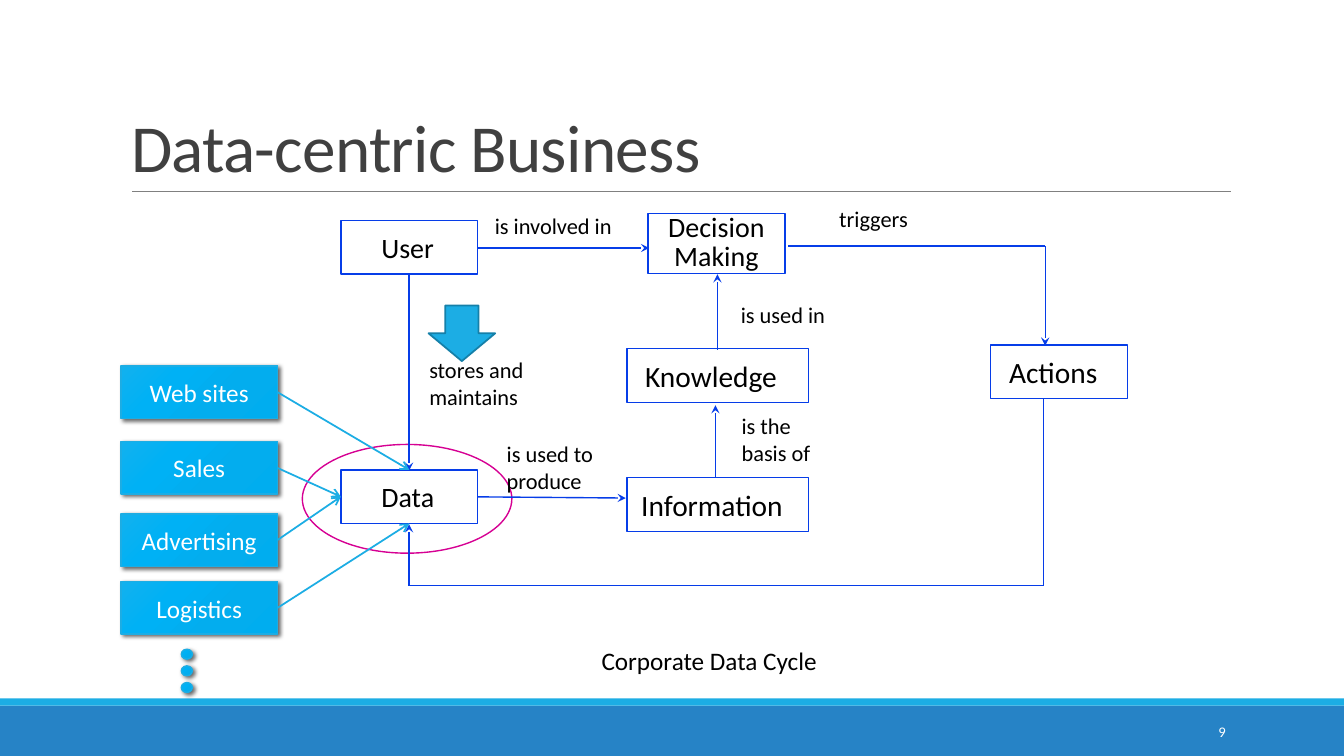
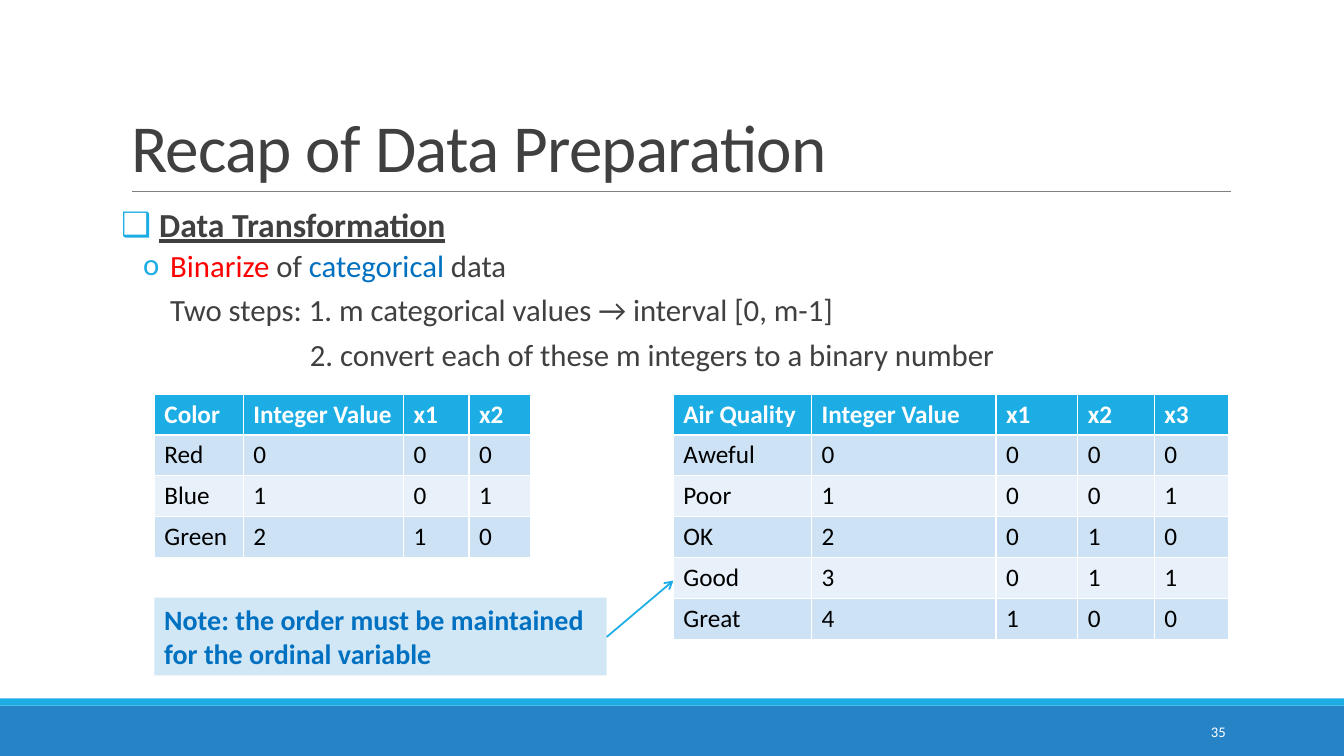
import pptx
import pptx.dml.color
import pptx.enum.shapes
import pptx.enum.text
import pptx.oxml
import pptx.oxml.ns
import pptx.util
from pptx.util import Cm

RGBColor = pptx.dml.color.RGBColor
Shape = pptx.enum.shapes.MSO_SHAPE
Align = pptx.enum.text.PP_ALIGN
Anchor = pptx.enum.text.MSO_ANCHOR

# Colours and font
FONT = "Calibri"
WHITE = RGBColor(0xFF, 0xFF, 0xFF)
BLACK = RGBColor(0x00, 0x00, 0x00)
CHARCOAL = RGBColor(0x40, 0x40, 0x40)
GRAY = RGBColor(0x80, 0x80, 0x80)
BAND = RGBColor(0x26, 0x83, 0xC6)
ACCENT = RGBColor(0x1C, 0xAD, 0xE4)
ACCENT_DARK = RGBColor(0x15, 0x80, 0xA9)
FLOW = RGBColor(0x06, 0x3D, 0xE8)
MAGENTA = RGBColor(0xD6, 0x00, 0x93)
RED = RGBColor(0xFF, 0x00, 0x00)
BLUE = RGBColor(0x00, 0x70, 0xC0)
NOTE_FILL = RGBColor(0xD1, 0xE7, 0xF6)
ROW_FILLS = (RGBColor(0xCD, 0xE3, 0xF5), RGBColor(0xE8, 0xF1, 0xFA))
GLOW_STOPS = ((0, "00ADEF"), (34, "03ADEE"), (70, "00B1F5"), (100, "12B1EE"))

# Connection sites of a rectangle
TOP, LEFT, BOTTOM, RIGHT = range(4)


def make_xml(tag, inner="", attributes=""):
    namespace = pptx.oxml.ns.nsdecls("a")
    return pptx.oxml.parse_xml(f"<a:{tag} {namespace} {attributes}>{inner}</a:{tag}>")


def write(para, text, size=18, color=BLACK, bold=False, underline=False,
          align=Align.LEFT, line_spacing=1.0, tracking=None):
    """Add one formatted span of text to a paragraph."""
    para.alignment = align
    para.line_spacing = line_spacing
    span = para.add_run()
    span.text = text
    span.font.name = FONT
    span.font.size = pptx.util.Pt(size)
    span.font.color.rgb = color
    span.font.bold = bold
    span.font.underline = underline
    if tracking is not None:
        span.font._element.set("spc", str(tracking))


class SlideBuilder:
    """Holds the deck, the shared style and the current slide."""

    def __init__(self):
        self.deck = pptx.Presentation()
        self.deck.slide_width = Cm(33.87)
        self.deck.slide_height = Cm(19.05)
        self.page = None

    def new_page(self, title, number, layout):
        self.page = self.deck.slides.add_slide(self.deck.slide_layouts[layout])
        self.shape(Shape.RECTANGLE, (0, 17.78, 33.87, 1.27), fill=BAND)
        self.shape(Shape.RECTANGLE, (0, 17.6, 33.87, 0.18), fill=ACCENT)
        self.route([(3.33, 4.83), (31.01, 4.83)], color=GRAY, width=0.5)
        box = self.page.shapes.title
        self.place(box, (3.05, 0.79, 27.94, 4.04))
        frame = box.text_frame
        frame.vertical_anchor = Anchor.BOTTOM
        frame.auto_size = pptx.enum.text.MSO_AUTO_SIZE.NONE
        write(frame.paragraphs[0], title, size=48, color=CHARCOAL,
              line_spacing=0.85, tracking=-50)
        self.text([str(number)], (27.51, 17.93, 3.63, 1.02), anchor=Anchor.MIDDLE,
                  size=10.5, color=WHITE, align=Align.RIGHT)

    def place(self, box, area):
        box.left, box.top, box.width, box.height = map(Cm, area)

    def fill_frame(self, frame, lines, anchor, **style):
        frame.word_wrap = True
        frame.vertical_anchor = anchor
        for index, line in enumerate(lines):
            para = frame.add_paragraph() if index else frame.paragraphs[0]
            write(para, line, **style)

    def text(self, lines, area, anchor=Anchor.TOP, **style):
        box = self.page.shapes.add_textbox(*map(Cm, area))
        self.fill_frame(box.text_frame, lines, anchor, **style)

    def shape(self, kind, area, fill=WHITE, line=None, width=1.0, lines=(), **style):
        box = self.page.shapes.add_shape(kind, *map(Cm, area))
        box.shadow.inherit = False
        box.fill.solid()
        box.fill.fore_color.rgb = fill
        if line is None:
            box.line.fill.background()
        else:
            box.line.color.rgb = line
            box.line.width = pptx.util.Pt(width)
        self.fill_frame(box.text_frame, lines, Anchor.MIDDLE, **style)
        return box

    def node(self, lines, area, indent=None, **style):
        """Blue-framed box; text is centred unless an indent is given."""
        align = Align.CENTER if indent is None else Align.LEFT
        box = self.shape(Shape.RECTANGLE, area, line=FLOW, lines=lines, align=align, **style)
        frame = box.text_frame
        frame.margin_left = Cm(indent or 0)
        frame.margin_right = frame.margin_top = frame.margin_bottom = 0
        return box

    def glowing(self, kind, area, lines=()):
        """Shape with a round gradient and a soft shadow."""
        box = self.shape(kind, area, line=ACCENT, lines=lines, color=WHITE, align=Align.CENTER)
        properties = box._element.spPr
        stops = "".join(f'<a:gs pos="{place * 1000}"><a:srgbClr val="{color}"/></a:gs>'
                        for place, color in GLOW_STOPS)
        gradient = make_xml("gradFill", f'<a:gsLst>{stops}</a:gsLst><a:path path="circle">'
                            '<a:fillToRect l="100000" t="100000"/></a:path>')
        properties.replace(properties.find(pptx.oxml.ns.qn("a:solidFill")), gradient)
        properties.find(pptx.oxml.ns.qn("a:effectLst")).append(make_xml(
            "outerShdw", '<a:srgbClr val="000000"><a:alpha val="60000"/></a:srgbClr>',
            'blurRad="38100" dist="25400" dir="2700000" algn="tl" rotWithShape="0"'))
        return box

    def route(self, points, color=FLOW, width=1.0, head=None):
        """Straight legs through the points, with an arrowhead on the last."""
        for start, end in zip(points, points[1:]):
            leg = self.page.shapes.add_connector(
                pptx.enum.shapes.MSO_CONNECTOR.STRAIGHT, *map(Cm, start + end))
            leg.line.color.rgb = color
            leg.line.width = pptx.util.Pt(width)
            properties = leg._element.spPr
            if head and end == points[-1]:
                properties.find(pptx.oxml.ns.qn("a:ln")).append(
                    make_xml("tailEnd", attributes=f'type="{head}"'))
            properties.append(make_xml("effectLst"))
        return leg

    def link(self, source, source_site, target, target_site):
        arrow = self.route([(0, 0), (1, 1)], color=ACCENT, width=1.25, head="arrow")
        arrow.begin_connect(source, source_site)
        arrow.end_connect(target, target_site)

    def bullets(self, area, items):
        """Items: level, margin, bullet, hanging, space after, size, spans."""
        box = self.page.placeholders[1]
        self.place(box, area)
        frame = box.text_frame
        frame.auto_size = pptx.enum.text.MSO_AUTO_SIZE.NONE
        frame.margin_left = frame.margin_right = 0
        for index, (level, margin, bullet, hanging, after, size, spans) in enumerate(items):
            para = frame.add_paragraph() if index else frame.paragraphs[0]
            para.level = level
            properties = para._element.get_or_add_pPr()
            properties.set("marL", str(Cm(margin)))
            properties.set("indent", str(-Cm(hanging)))
            if bullet:
                properties.append(make_xml("buClr", f'<a:srgbClr val="{ACCENT}"/>'))
                properties.append(make_xml("buFont", attributes=f'typeface="{FONT}"'))
                properties.append(make_xml("buChar", attributes=f'char="{bullet}"'))
            else:
                properties.append(make_xml("buNone"))
            para.space_before = pptx.util.Pt(2 if index else 0)
            para.space_after = pptx.util.Pt(after)
            for text, style in spans:
                write(para, text, size=size, line_spacing=0.9, **{"color": CHARCOAL, **style})

    def table(self, left, top, widths, rows, row_height=1.03):
        grid = self.page.shapes.add_table(
            len(rows), len(widths), Cm(left), Cm(top),
            Cm(sum(widths)), Cm(row_height * len(rows))).table
        for column, width in zip(grid.columns, widths):
            column.width = Cm(width)
        for row_index, values in enumerate(rows):
            header = row_index == 0
            for column_index, value in enumerate(values):
                cell = grid.cell(row_index, column_index)
                cell.margin_right = Cm(0.1)
                cell.fill.solid()
                cell.fill.fore_color.rgb = ACCENT if header else ROW_FILLS[(row_index - 1) % 2]
                write(cell.text_frame.paragraphs[0], value, bold=header,
                      color=WHITE if header else BLACK)


def build_data_cycle(builder):
    builder.new_page("Data-centric Business", 9, layout=5)
    builder.shape(Shape.DOWN_ARROW, (10.8, 7.7, 1.68, 1.4), fill=ACCENT,
                  line=ACCENT_DARK, width=1.25)
    builder.shape(Shape.OVAL, (7.62, 11.2, 5.28, 2.74), line=MAGENTA)

    # Steps of the cycle
    builder.node(["User"], (8.59, 5.56, 3.45, 1.35), indent=1.02, size=20)
    builder.node(["Decision", "Making"], (16.33, 5.38, 3.45, 1.52), size=20, line_spacing=0.85)
    builder.node(["Knowledge"], (15.8, 8.79, 4.57, 1.35), indent=0.46, size=21)
    builder.node(["Information"], (15.8, 12.04, 4.57, 1.35), indent=0.36, size=21)
    builder.node(["Actions"], (24.97, 8.69, 3.45, 1.35), indent=0.46, size=21)
    data = builder.node(["Data"], (8.59, 11.84, 3.45, 1.35), indent=1.02, size=20)

    # Flow between the steps
    for points in (
        [(12.04, 6.25), (16.36, 6.25)],
        [(10.31, 6.91), (10.31, 11.86)],
        [(12.04, 12.52), (15.77, 12.55)],
        [(18.03, 12.01), (18.03, 10.21)],
        [(18.08, 8.81), (18.08, 6.91)],
        [(19.86, 6.2), (26.34, 6.2), (26.34, 8.71)],
        [(26.29, 10.06), (26.29, 14.76), (10.31, 14.76), (10.31, 13.21)],
    ):
        builder.route(points, head="stealth")
    for left, top, lines in (
        (12.22, 5.23, ["is involved in"]),
        (20.9, 5.05, ["triggers"]),
        (18.42, 7.47, ["is used in"]),
        (18.44, 10.26, ["is the", "basis of"]),
        (10.57, 8.86, ["stores and", "maintains"]),
        (12.52, 10.97, ["is used to", "produce"]),
    ):
        builder.text(lines, (left, top, 3.8, 0.25 + 0.69 * len(lines)), size=16)

    # Data sources
    for name, top, site in (("Web sites", 9.22, TOP), ("Sales", 11.13, LEFT),
                            ("Advertising", 12.95, LEFT), ("Logistics", 14.66, BOTTOM)):
        source = builder.glowing(Shape.RECTANGLE, (3.05, top, 3.94, 1.32), [name])
        builder.link(source, RIGHT, data, site)
    for index in range(3):
        builder.glowing(Shape.OVAL, (4.57, 16.36 + 0.42 * index, 0.28, 0.25))

    builder.text(["Corporate Data Cycle"], (14.91, 16.13, 6.4, 1.02))


def build_recap(builder):
    builder.new_page("Recap of Data Preparation", 35, layout=1)
    builder.bullets((3.05, 5.13, 27.94, 12.32), [
        (0, 0.96, "❑", 0.96, 2, 24, [("Data Transformation", {"bold": True, "underline": True})]),
        (1, 1.24, "o", 0.68, 6, 22, [("Binarize", {"color": RED}), (" of ", {}),
                                     ("categorical", {"color": BLUE}), (" data", {})]),
        (1, 1.24, None, 0, 6, 22,
         [("Two steps: 1. m categorical values → interval [0, m-1]", {})]),
        (1, 4.76, None, 0, 6, 22,
         [("2. convert each of these m integers to a binary number", {})]),
    ])

    # Coding tables
    builder.table(3.89, 9.93, (2.24, 4.04, 1.65, 1.55), [
        ("Color", "Integer Value", "x1", "x2"),
        ("Red", "0", "0", "0"),
        ("Blue", "1", "0", "1"),
        ("Green", "2", "1", "0"),
    ])
    builder.table(16.97, 9.93, (3.48, 4.65, 2.06, 1.93, 1.88), [
        ("Air Quality", "Integer Value", "x1", "x2", "x3"),
        ("Aweful", "0", "0", "0", "0"),
        ("Poor", "1", "0", "0", "1"),
        ("OK", "2", "0", "1", "0"),
        ("Good", "3", "0", "1", "1"),
        ("Great", "4", "1", "0", "0"),
    ])

    # Note and its arrow
    builder.shape(Shape.RECTANGLE, (3.89, 15.06, 11.4, 1.96), fill=NOTE_FILL,
                  lines=["Note: the order must be maintained for the ordinal variable"],
                  size=20, color=BLUE, bold=True)
    builder.route([(15.29, 16.05), (16.97, 14.63)], color=ACCENT, width=1.25, head="arrow")


def main():
    builder = SlideBuilder()
    build_data_cycle(builder)
    build_recap(builder)
    builder.deck.save("out.pptx")


if __name__ == "__main__":
    main()
